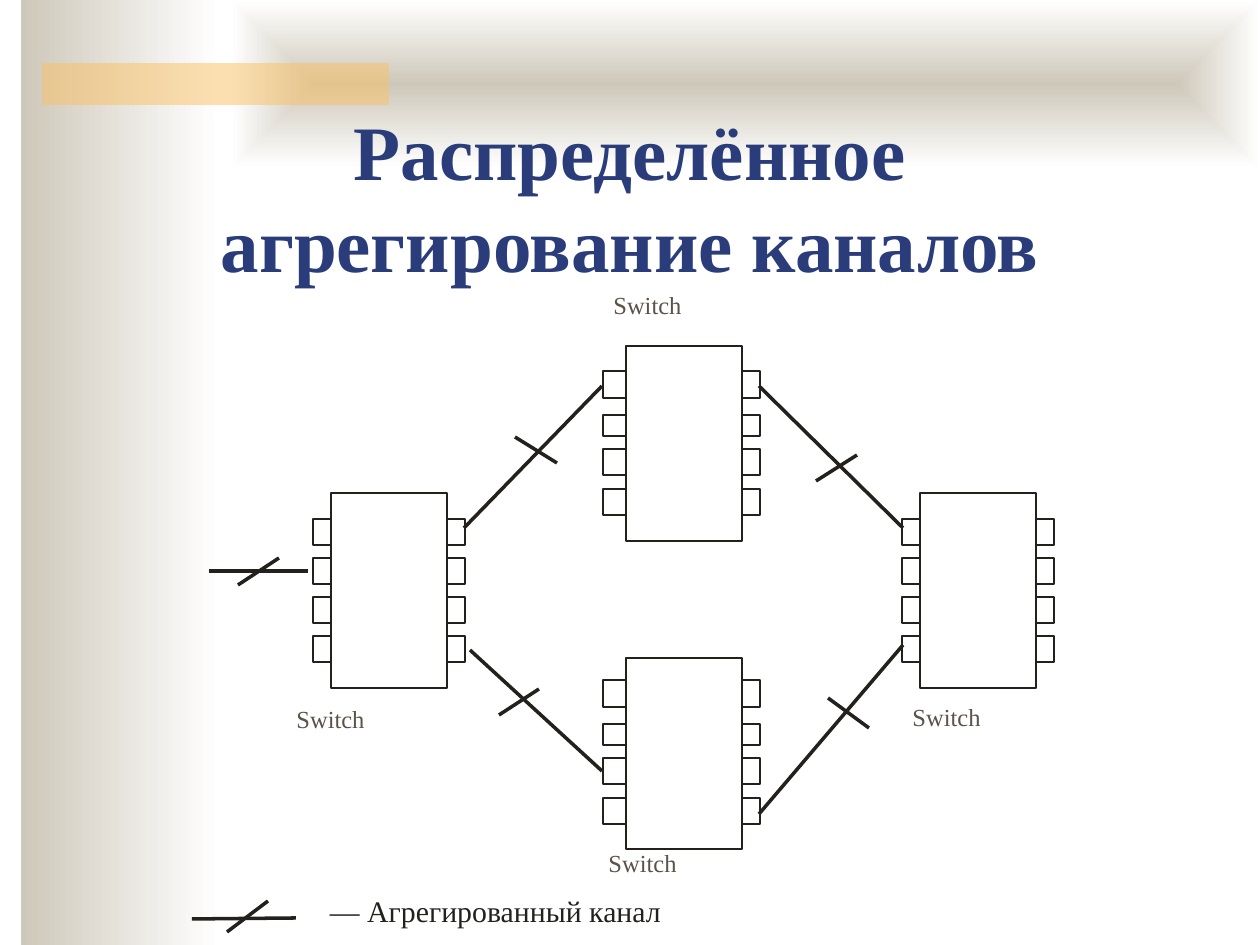
from dataclasses import dataclass

from lxml.etree import SubElement
from pptx import Presentation
from pptx.dml.color import RGBColor as RGB
from pptx.enum.shapes import MSO_CONNECTOR as CONN, MSO_SHAPE as SHAPE
from pptx.enum.text import MSO_ANCHOR as ANCHOR, PP_ALIGN as ALIGN
from pptx.oxml.ns import qn
from pptx.util import Emu, Pt

PX = 914400 / 126  # EMU in one px


@dataclass(frozen=True)
class Theme:
    font: str = "Times New Roman"
    sand: str = "CEC8BA"
    white: str = "FFFFFF"
    accent: str = "FAC164"
    title: str = "2A3D7A"
    ink: str = "24211D"
    label: str = "5B5249"
    title_pt: int = 44
    legend_pt: int = 17
    label_pt: int = 14


@dataclass(frozen=True)
class Switch:
    x: int
    y: int
    h: int
    ports: tuple  # (offset from the top, height) of each port
    left_port_w: int
    label_at: tuple


@dataclass(frozen=True)
class Line:
    x1: int
    y1: int
    x2: int
    y2: int


T = Theme()
SWITCH_W, PORT_W = 116, 18
EVEN_PORTS = tuple((26 + 39 * i, 26) for i in range(4))
TOP_PORTS = ((25, 27), (69, 21), (103, 26), (143, 26))
BOTTOM_PORTS = tuple((dy - 3, h) for dy, h in TOP_PORTS)

SWITCHES = (
    Switch(331, 493, 195, EVEN_PORTS, PORT_W, (284, 698)),
    Switch(920, 493, 195, EVEN_PORTS, PORT_W, (900, 696)),
    Switch(626, 346, 195, TOP_PORTS, 23, (601, 284)),
    Switch(626, 658, 191, BOTTOM_PORTS, 23, (596, 842)),
)
LINKS = (
    Line(464, 528, 602, 386), Line(470, 650, 602, 771),
    Line(903, 528, 759, 386), Line(903, 645, 759, 814),
    Line(308, 571, 209, 571), Line(296, 918, 192, 919),
)
# Slashes that mark a link as aggregated
SLASHES = (
    Line(515, 437, 557, 463), Line(279, 558, 238, 585),
    Line(268, 901, 227, 932), Line(857, 455, 816, 481),
    Line(828, 698, 869, 728), Line(539, 689, 499, 715),
)


def px(*values: int) -> list:
    return [Emu(round(v * PX)) for v in values]


def add_rect(shapes, x: int, y: int, w: int, h: int, line: str = ""):
    sp = shapes.add_shape(SHAPE.RECTANGLE, *px(x, y, w, h))
    sp.shadow.inherit = False
    sp.fill.background()
    if line:
        sp.line.color.rgb = RGB.from_string(line)
        sp.line.width = Pt(0)
    else:
        sp.line.fill.background()
    return sp


def add_gradient(sp, from_center: bool = False) -> None:
    sp.fill.gradient()
    sp.fill.gradient_angle = 0
    for stop, color, pos in zip(sp.fill.gradient_stops, (T.sand, T.white), (0, 1)):
        stop.color.rgb = RGB.from_string(color)
        stop.position = pos
    if from_center:
        grad = sp._element.spPr.find(qn("a:gradFill"))
        grad.remove(grad.find(qn("a:lin")))
        path = SubElement(grad, qn("a:path"), {"path": "rect"})
        SubElement(path, qn("a:fillToRect"), dict.fromkeys("ltrb", "50000"))


def add_line(shapes, line: Line) -> None:
    cxn = shapes.add_connector(CONN.STRAIGHT, *px(line.x1, line.y1, line.x2, line.y2))
    cxn.line.color.rgb = RGB.from_string(T.ink)
    cxn.line.width = Pt(0)
    SubElement(cxn._element.spPr, qn("a:effectLst"))


def write(tf, text: str, *, size: int, color: str, bold: bool = False,
          align=ALIGN.LEFT, wrap: bool = True) -> None:
    tf.word_wrap = wrap
    p = tf.paragraphs[0]
    p.alignment = align
    r = p.add_run()
    r.text = text
    r.font.name, r.font.size, r.font.bold = T.font, Pt(size), bold
    r.font.color.rgb = RGB.from_string(color)


def add_switch(shapes, sw: Switch) -> None:
    add_rect(shapes, sw.x, sw.y, SWITCH_W, sw.h, T.ink)
    for dy, h in sw.ports:
        add_rect(shapes, sw.x - sw.left_port_w, sw.y + dy, sw.left_port_w, h, T.ink)
        add_rect(shapes, sw.x + SWITCH_W, sw.y + dy, PORT_W, h, T.ink)
    tb = shapes.add_textbox(*px(*sw.label_at, 198, 43))
    write(tb.text_frame, "Switch", size=T.label_pt, color=T.label)


def main() -> None:
    prs = Presentation()
    prs.slide_width, prs.slide_height = px(1260, 945)
    s = prs.slides.add_slide(prs.slide_layouts[5])
    title = s.shapes.title

    # Background bands, kept behind the title
    add_gradient(add_rect(s.shapes, 21, 0, 199, 945))
    add_gradient(add_rect(s.shapes, 231, 0, 1029, 168), from_center=True)
    bar = add_rect(s.shapes, 42, 63, 347, 42)
    bar.fill.solid()
    bar.fill.fore_color.rgb = RGB.from_string(T.accent)
    color = bar._element.spPr.find(qn("a:solidFill"))[0]
    SubElement(color, qn("a:alpha"), {"val": "50000"})
    s.shapes._spTree.append(title._element)

    # Title
    title.left, title.top, title.width, title.height = px(94, 97, 1072, 139)
    title.text_frame.vertical_anchor = ANCHOR.TOP
    write(title.text_frame, "Распределённое агрегирование каналов", size=T.title_pt,
          color=T.title, bold=True, align=ALIGN.CENTER)

    # Network diagram
    diagram = s.shapes.add_group_shape().shapes
    for sw in SWITCHES:
        add_switch(diagram, sw)
    for line in LINKS + SLASHES:
        add_line(diagram, line)

    # Legend
    tf = diagram.add_textbox(*px(330, 893, 334, 37)).text_frame
    tf.margin_left = tf.margin_right = tf.margin_top = tf.margin_bottom = 0
    write(tf, "— Агрегированный канал", size=T.legend_pt, color=T.ink, wrap=False)

    prs.save("out.pptx")


if __name__ == "__main__":
    main()
